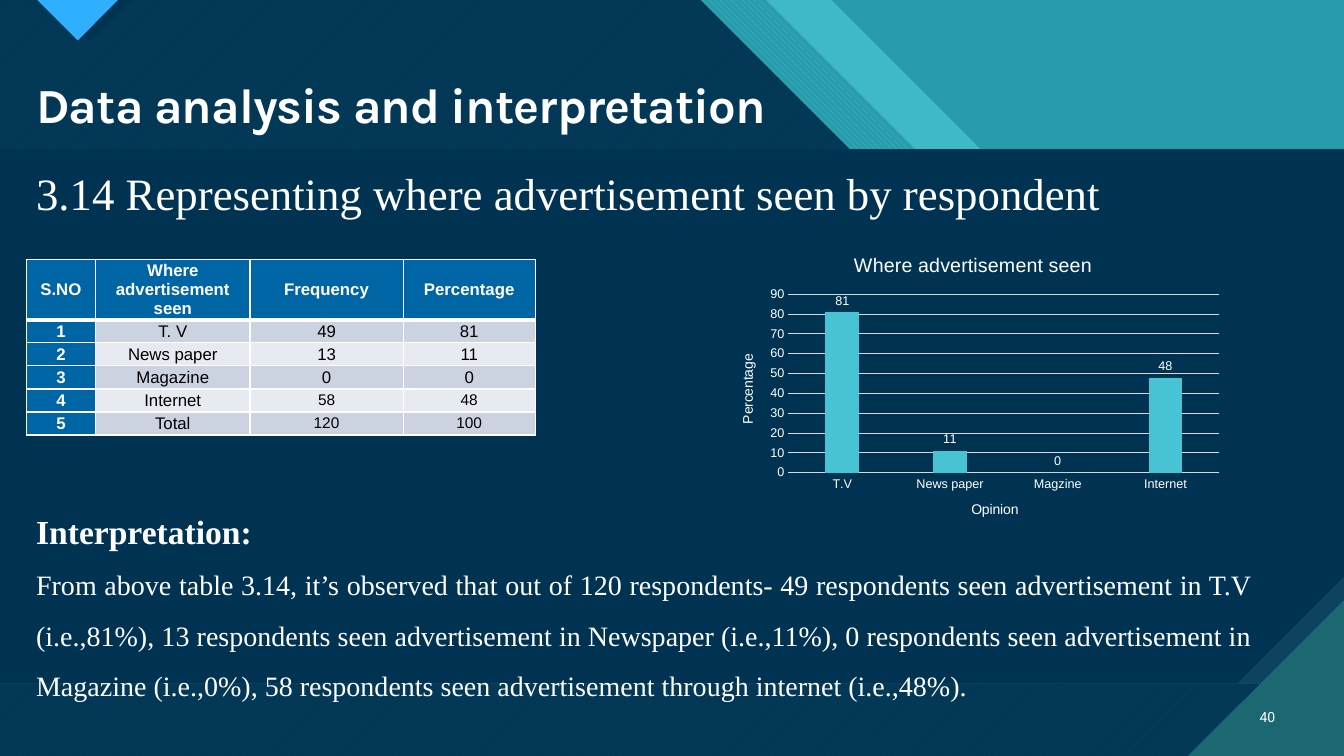
from dataclasses import dataclass

from lxml.etree import SubElement
from pptx import Presentation
from pptx.chart.data import CategoryChartData
from pptx.dml.color import RGBColor
from pptx.enum.chart import XL_CHART_TYPE, XL_LABEL_POSITION, XL_TICK_MARK
from pptx.enum.dml import MSO_PATTERN
from pptx.enum.shapes import MSO_SHAPE
from pptx.enum.text import MSO_ANCHOR, MSO_AUTO_SIZE, PP_ALIGN
from pptx.oxml.ns import qn
from pptx.util import Cm, Pt

WIDTH, HEIGHT = 33.87, 19.05


@dataclass(frozen=True)
class Theme:
    white: str = "FFFFFF"
    black: str = "000000"
    navy: str = "003352"
    navy_light: str = "0C4360"
    teal: str = "299CAB"
    teal_light: str = "47C3D3"
    teal_dark: str = "1B6872"
    sky: str = "2FAFFF"
    header: str = "0065A4"
    stripes: tuple = ("E7EAF0", "CCD3E0")
    grid: str = "D9D9D9"
    title_font: str = "Karla"
    body_font: str = "Times New Roman"
    data_font: str = "Arial"
    number_font: str = "Roboto"
    title: int = 35
    subtitle: int = 32
    heading: int = 24
    body: int = 20
    chart_title: int = 14
    cell: int = 12
    cell_small: int = 11
    small: int = 10
    tick: int = 9


def rgb(color):
    return RGBColor.from_string(color)


def band(x):
    """Area left of a diagonal that falls at 45 degrees from x on the top edge."""
    shelf, drop = x + 10.75, 7.55
    return [(0, 0), (x, 0), (x + drop, drop), (shelf, drop),
            (WIDTH, drop + WIDTH - shelf), (WIDTH, HEIGHT), (0, HEIGHT)]


class SlideBuilder:
    def __init__(self, slide, theme):
        self.s, self.t = slide, theme

    def paint(self, sp, color, back=None, pattern=None, alpha=None):
        sp.shadow.inherit = False
        sp.line.fill.background()
        if pattern is not None:
            sp.fill.patterned()
            sp.fill.pattern = pattern
            sp.fill.back_color.rgb = rgb(back)
        else:
            sp.fill.solid()
        sp.fill.fore_color.rgb = rgb(color)
        if alpha:
            clr = sp._element.spPr.find(qn("a:solidFill"))[0]
            SubElement(clr, qn("a:alpha")).set("val", str(alpha * 1000))

    def polygon(self, points, color, **style):
        start, *rest = [(Cm(x), Cm(y)) for x, y in points]
        builder = self.s.shapes.build_freeform(*start)
        builder.add_line_segments(rest, close=True)
        self.paint(builder.convert_to_shape(), color, **style)

    def shape(self, kind, box, color, **style):
        sp = self.s.shapes.add_shape(kind, *map(Cm, box))
        self.paint(sp, color, **style)
        return sp

    def style(self, font, size, color=None, bold=False, name=None):
        font.size, font.bold = Pt(size), bold
        font.name = name or self.t.data_font
        font.color.rgb = rgb(color or self.t.white)

    def title(self, text, box):
        sp = self.s.shapes.title
        sp._element.getparent().append(sp._element)  # bring in front of the artwork
        sp.left, sp.top, sp.width, sp.height = map(Cm, box)
        tf = sp.text_frame
        tf.text = text
        tf.auto_size = MSO_AUTO_SIZE.SHAPE_TO_FIT_TEXT
        p = tf.paragraphs[0]
        p.alignment, p.line_spacing = PP_ALIGN.LEFT, 0.9
        r = p.runs[0]
        self.style(r.font, self.t.title, bold=True, name=self.t.title_font)
        r._r.get_or_add_rPr().set("spc", "-70")

    def text(self, box, lines, name, align=PP_ALIGN.JUSTIFY, spacing=None,
             anchor=MSO_ANCHOR.TOP):
        """Each line is (text, size, bold)."""
        tf = self.s.shapes.add_textbox(*map(Cm, box)).text_frame
        tf.word_wrap, tf.vertical_anchor = True, anchor
        tf.text = "\n".join(line[0] for line in lines)
        for p, (_, size, bold) in zip(tf.paragraphs, lines):
            p.alignment, p.line_spacing = align, spacing
            self.style(p.runs[0].font, size, bold=bold, name=name)

    def borders(self, cell, **widths):
        tc_pr = cell._tc.get_or_add_tcPr()
        for side in "LRTB":
            ln = SubElement(tc_pr, qn(f"a:ln{side}"), w=str(Pt(widths.get(side, 1))))
            SubElement(SubElement(ln, qn("a:solidFill")), qn("a:srgbClr"), val=self.t.white)

    def table(self, left, top, col_widths, row_heights, rows):
        t = self.t
        tbl = self.s.shapes.add_table(len(rows), len(col_widths), Cm(left), Cm(top),
                                      Cm(sum(col_widths)), Cm(sum(row_heights))).table
        for col, width in zip(tbl.columns, col_widths):
            col.width = Cm(width)
        for i, (row, height) in enumerate(zip(rows, row_heights)):
            tbl.rows[i].height = Cm(height)
            for j, text in enumerate(row):
                cell = tbl.cell(i, j)
                strong = i == 0 or j == 0
                self.borders(cell, T=3 if i == 1 else 1, B=3 if i == 0 else 1)
                cell.fill.solid()
                cell.fill.fore_color.rgb = rgb(t.header if strong else t.stripes[i % 2])
                cell.margin_left = cell.margin_right = Cm(0.18)
                cell.margin_top = cell.margin_bottom = 0
                cell.vertical_anchor = MSO_ANCHOR.MIDDLE
                cell.text = text
                p = cell.text_frame.paragraphs[0]
                p.alignment = PP_ALIGN.CENTER
                size = t.cell_small if i >= 4 and j >= 2 else t.cell
                self.style(p.runs[0].font, size, t.white if strong else t.black, strong)

    def caption(self, owner, text, size):
        """Title of a chart or of an axis."""
        tf = (owner.chart_title if hasattr(owner, "chart_title") else owner.axis_title).text_frame
        tf.text = text
        self.style(tf.paragraphs[0].runs[0].font, size)

    def column_chart(self, box, title, x_title, y_title, values, plot_area):
        t = self.t
        data = CategoryChartData()
        data.categories = list(values)
        data.add_series("Series 1", list(values.values()))
        chart = self.s.shapes.add_chart(XL_CHART_TYPE.COLUMN_CLUSTERED,
                                        *map(Cm, box), data).chart
        self.style(chart.font, t.small)
        chart.has_legend = False
        self.caption(chart, title, t.chart_title)
        x, y = chart.category_axis, chart.value_axis
        for axis, text in ((x, x_title), (y, y_title)):
            self.caption(axis, text, t.small)
            self.style(axis.tick_labels.font, t.tick)
            axis.major_tick_mark = XL_TICK_MARK.NONE
        y.minimum_scale, y.maximum_scale, y.major_unit = 0, 90, 10
        y.format.line.fill.background()
        for line in (x.format.line, y.major_gridlines.format.line):
            line.color.rgb, line.width = rgb(t.grid), Pt(0.75)
        plot = chart.plots[0]
        plot.gap_width, plot.overlap, plot.vary_by_categories = 219, -27, False
        fill = plot.series[0].format.fill
        fill.solid()
        fill.fore_color.rgb = rgb(t.teal_light)
        plot.has_data_labels = True
        labels = plot.data_labels
        labels.show_value, labels.position = True, XL_LABEL_POSITION.OUTSIDE_END
        self.style(labels.font, t.tick)
        area = chart._chartSpace.chart.plotArea
        for old in area.findall(qn("c:layout")):
            area.remove(old)
        layout = SubElement(area, qn("c:layout"))
        area.insert(0, layout)
        manual = SubElement(layout, qn("c:manualLayout"))
        settings = [("layoutTarget", "inner"), ("xMode", "edge"), ("yMode", "edge")]
        for tag, val in settings + list(zip("xywh", plot_area)):
            SubElement(manual, qn(f"c:{tag}"), val=str(val))


def draw_background(b):
    t = b.t
    b.shape(MSO_SHAPE.RECTANGLE, (0, 0, WIDTH, HEIGHT), t.teal)
    b.polygon(band(20.95), t.teal_light, alpha=74)
    b.polygon(band(19.31), t.teal_light, back=t.teal, pattern=MSO_PATTERN.WIDE_DOWNWARD_DIAGONAL)
    b.polygon(band(17.65), t.teal_light, back=t.teal_dark, pattern=MSO_PATTERN.WIDE_UPWARD_DIAGONAL)
    b.polygon(band(17.65), t.navy, alpha=90)
    b.polygon([(1.22, 0), (2.29, 1.04), (3.33, 0)], t.navy)
    b.polygon([(0.94, 0), (1.96, 1.02), (2.97, 0)], t.sky, back=t.teal_dark,
              pattern=MSO_PATTERN.DARK_HORIZONTAL)
    panel = (0, 3.76, WIDTH, 13.46)
    b.shape(MSO_SHAPE.RECTANGLE, panel, t.navy_light, back=t.teal_dark,
            pattern=MSO_PATTERN.DARK_VERTICAL)
    snipped = b.shape(MSO_SHAPE.SNIP_1_RECTANGLE, panel, t.navy)
    snipped.adjustments[0] = 0.2
    snipped._element.spPr.xfrm.set("flipV", "1")
    b.polygon([(29.95, HEIGHT), (WIDTH, HEIGHT), (WIDTH, 15.14)], t.teal_dark,
              back=t.teal_light, pattern=MSO_PATTERN.DARK_HORIZONTAL)


def main():
    prs = Presentation()
    prs.slide_width, prs.slide_height = Cm(WIDTH), Cm(HEIGHT)
    t = Theme()
    b = SlideBuilder(prs.slides.add_slide(prs.slide_layouts[5]), t)
    draw_background(b)
    b.title("Data analysis and interpretation", (0.66, 1.9, 19.2, 1.6))
    b.text((31.27, 17.55, 1.12, 1.02), [("40", t.small, False)], t.number_font,
           align=PP_ALIGN.RIGHT, anchor=MSO_ANCHOR.MIDDLE)
    b.text((0.66, 4.06, 30.58, 1.63),
           [("3.14 Representing where advertisement seen by respondent", t.subtitle, False)],
           t.body_font)
    b.text((0.66, 12.24, 31.14, 5.51), [
        ("Interpretation:", t.heading, True),
        ("From above table 3.14, it’s observed that out of 120 respondents- 49 respondents seen "
         "advertisement in T.V (i.e.,81%), 13 respondents seen advertisement in Newspaper "
         "(i.e.,11%), 0 respondents seen advertisement in Magazine (i.e.,0%), 58 respondents "
         "seen advertisement through internet (i.e.,48%).", t.body, False),
    ], t.body_font, spacing=1.5)
    b.table(0.66, 6.53, [1.75, 3.89, 3.86, 3.33], [1.53] + [0.58] * 5, [
        ("S.NO", "Where advertisement seen", "Frequency", "Percentage"),
        ("1", "T. V", "49", "81"),
        ("2", "News paper", "13", "11"),
        ("3", "Magazine", "0", "0"),
        ("4", "Internet", "58", "48"),
        ("5", "Total", "120", "100"),
    ])
    b.column_chart((18.06, 5.97, 12.93, 7.62), "Where advertisement seen", "Opinion",
                   "Percentage", {"T.V": 81, "News paper": 11, "Magzine": 0, "Internet": 48},
                   plot_area=(0.14, 0.19, 0.84, 0.59))
    prs.save("out.pptx")


if __name__ == "__main__":
    main()
